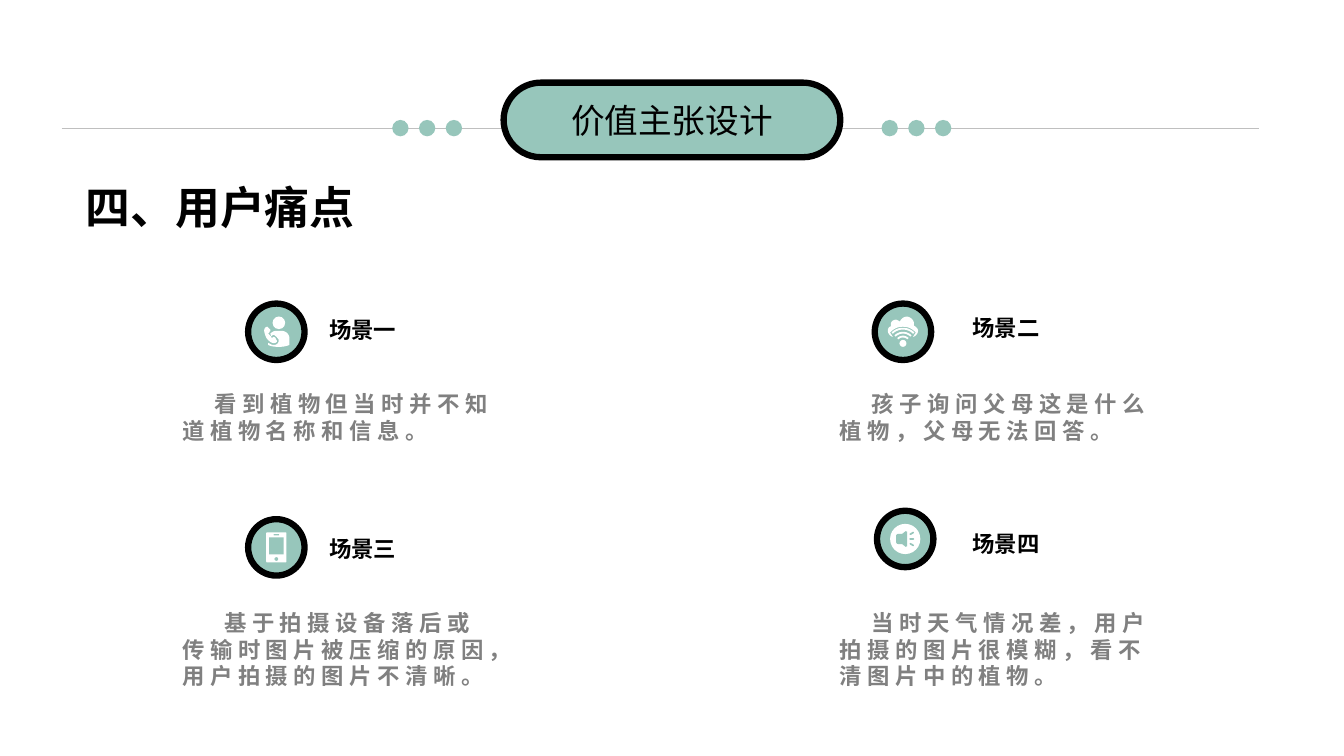
from math import cos, pi, sin

from lxml.etree import SubElement
from pptx import Presentation
from pptx.dml.color import RGBColor
from pptx.enum.shapes import MSO_CONNECTOR, MSO_SHAPE
from pptx.enum.text import MSO_ANCHOR, MSO_AUTO_SIZE, PP_ALIGN
from pptx.oxml.ns import qn
from pptx.util import Pt

# Content
BANNER = "价值主张设计"
HEADING = "四、用户痛点"
# label, label position, ring centre, icon, body, body position, first-line indent
SCENES = [
    ("场景一", (228.2, 222.5), (197.4, 237), "caller",
     "看到植物但当时并不知道植物名称和信息。", (123.1, 275), 23),
    ("场景二", (687.6, 221), (645, 237), "cloud",
     "孩子询问父母这是什么植物，父母无法回答。", (592.6, 275), 23),
    ("场景三", (228.2, 378.7), (197.4, 391), "phone",
     "基于拍摄设备落后或传输时图片被压缩的原因，用户拍摄的图片不清晰。", (123.1, 431.3), 30),
    ("场景四", (687.6, 375.1), (646.6, 385), "speaker",
     "当时天气情况差，用户拍摄的图片很模糊，看不清图片中的植物。", (592.6, 431.3), 23),
]
COLORS = {"mint": "97C6BB", "black": "000000", "white": "FFFFFF",
          "gray": "808080", "rule": "BFBFBF"}
RING_SIZE = 40.3


def wifi_band(radius, thickness=1.3, base=8.6, steps=12):
    angles = [pi / 4 * (2 * i / steps - 1) for i in range(steps + 1)]
    outer = [(radius * sin(a), base - radius * cos(a)) for a in angles]
    inner = [((radius - thickness) * sin(a), base - (radius - thickness) * cos(a))
             for a in reversed(angles)]
    return outer + inner


# Outlines around the ring centre: two numbers for a line, six for a curve
CALLER_BODY = [
    (0, -0.7), (3.6, -0.7), (6.5, -0.7, 9.4, 1.4, 9.4, 5), (9.4, 9.4),
    (9.4, 9.4, 6.5, 10.8, 2.2, 10.8), (1.4, 10.8), (-3.6, 10.8, -5.8, 9.4, -5.8, 9.4),
    (-5.8, 7.9), (-4.3, 8.6, -3.6, 9.4, -2.2, 9.4), (-1.4, 9.4, 0, 9.4, 0.7, 8.6),
    (1.4, 7.9, 2.2, 6.5, 1.4, 5), (0, 3.6), (-0.7, 2.9, -1.4, 2.2, -2.2, 2.2),
    (-2.2, 2.2, -2.9, 2.2, -2.9, 2.9), (-3.6, 2.9), (-4.3, 1.4),
    (-2.9, 0, -1.4, -0.7, 0, -0.7)]
HANDSET = [
    (-6.5, -3.6), (-4.3, -1.4), (-4.3, -0.7, -4.3, 0, -5, 0), (-5, 0.7),
    (-5.8, 0.7, -5.8, 1.4, -5.8, 1.4), (-3.6, 3.6), (-3.6, 4.3, -3.6, 4.3, -2.9, 4.3),
    (-2.2, 3.6), (-2.2, 3.6, -1.4, 3.6, -0.7, 4.3), (0, 5.8),
    (0.7, 6.5, 0.7, 7.2, -0.7, 7.9), (-2.9, 8.6, -5, 7.2, -7.2, 4.3),
    (-8.6, 0.7, -9.4, -1.4, -7.9, -2.9), (-7.9, -2.9, -7.2, -3.6, -6.5, -3.6)]
CLOUD = [
    (2.9, -10.8), (5, -10.8, 7.9, -8.6, 7.9, -5.8), (7.9, -5.3, 7.9, -5, 7.9, -4.3),
    (9.4, -3.6, 10.8, -2.2, 10.8, -0.7), (10.8, 1.4, 8.6, 3.6, 7.2, 3.6), (9.2, 0.5),
    (6.5, -2.3, 3.6, -3.6, 0, -3.6), (-3.6, -3.6, -6.5, -2.3, -9.2, 0.5), (-7.2, 3.6),
    (-8.6, 3.6, -10.8, 1.4, -10.8, -0.7), (-10.8, -2.2, -10, -3.6, -8.6, -3.9),
    (-8.6, -4.3, -8.6, -5, -8.6, -5.8), (-8.6, -7.2, -7, -8.6, -5, -8.6),
    (-4.3, -8.6, -2.9, -7.9, -2.2, -7.2), (-1.4, -9.4, 0.7, -10.8, 2.9, -10.8)]
HORN = [
    (0.3, -5.6), (1.4, -5.2), (1.4, 5.2), (0.3, 5.6), (-2.2, 3.6), (-5, 3.6),
    (-5.8, 3.6, -6.5, 2.9, -6.5, 2.2), (-6.5, -2.2),
    (-6.5, -2.9, -5.8, -3.6, -5, -3.6), (-2.2, -3.6), (0.3, -5.6)]

# Icon parts: (colour, outline) or (colour, preset, x, y, width, height, rotation)
OVAL, ROUNDED, BOX = MSO_SHAPE.OVAL, MSO_SHAPE.ROUNDED_RECTANGLE, MSO_SHAPE.RECTANGLE
ICONS = {
    "caller": [("white", CALLER_BODY), ("white", HANDSET),
               ("white", OVAL, 1.8, -6.4, 9, 9, 0)],
    "cloud": [("white", CLOUD), ("white", OVAL, 0, 8.3, 5, 5, 0)]
             + [("white", wifi_band(radius)) for radius in (5.8, 8.6, 11.5)],
    "phone": [("white", ROUNDED, 0, 0, 14.4, 21.6, 0), ("mint", BOX, 0, -1.1, 10.4, 12.2, 0),
              ("mint", OVAL, 0, 8.3, 2.6, 2.6, 0), ("mint", ROUNDED, 0, -9, 4, 0.9, 0)],
    "speaker": [("white", OVAL, 0, 0, 21.6, 21.6, 0), ("mint", HORN)]
               + [("mint", ROUNDED, 4.7, 4 * side, 3.4, 1.2, 30 * side) for side in (-1, 0, 1)],
}

presentation = Presentation()
presentation.slide_width, presentation.slide_height = Pt(960), Pt(540)
slide = presentation.slides.add_slide(presentation.slide_layouts[5])
shapes = slide.shapes


def color(name):
    return RGBColor.from_string(COLORS[name])


def paint(shape, fill, line=None):
    shape.shadow.inherit = False
    shape.fill.solid()
    shape.fill.fore_color.rgb = color(fill)
    if line:
        shape.line.color.rgb = color(line)
        shape.line.width = Pt(4.5)
    else:
        shape.line.fill.background()


def add_centred(preset, x, y, width, height, fill, line=None):
    shape = shapes.add_shape(preset, Pt(x - width / 2), Pt(y - height / 2),
                             Pt(width), Pt(height))
    paint(shape, fill, line)
    return shape


def flatten(outline, steps=8):
    points = [outline[0]]
    for segment in outline[1:]:
        if len(segment) == 2:
            points.append(segment)
            continue
        x0, y0 = points[-1]
        x1, y1, x2, y2, x3, y3 = segment
        for i in range(1, steps + 1):
            t = i / steps
            a, b, c, d = (1 - t) ** 3, 3 * t * (1 - t) ** 2, 3 * t * t * (1 - t), t ** 3
            points.append((a * x0 + b * x1 + c * x2 + d * x3,
                           a * y0 + b * y1 + c * y2 + d * y3))
    return points


def add_outline(outline, x, y, fill):
    points = [(Pt(x + dx), Pt(y + dy)) for dx, dy in flatten(outline)]
    builder = shapes.build_freeform(*points[0])
    builder.add_line_segments(points[1:], close=True)
    paint(builder.convert_to_shape(), fill)


def write(shape, text, size, name="black", font="Calibri", bold=True):
    frame = shape.text_frame
    frame.word_wrap = True
    frame.auto_size = MSO_AUTO_SIZE.NONE
    frame.text = text
    run = frame.paragraphs[0].runs[0]
    run.font.size, run.font.bold, run.font.name = Pt(size), bold, font
    run.font.color.rgb = color(name)
    return frame.paragraphs[0], run


# Banner: rule, pill and dots
rule = shapes.add_connector(MSO_CONNECTOR.STRAIGHT, Pt(44), Pt(91.7), Pt(899.3), Pt(91.7))
rule.line.color.rgb = color("rule")
rule.line.width = Pt(0.25)
SubElement(rule._element.spPr, qn("a:effectLst"))

pill = add_centred(ROUNDED, 480, 85.7, 240.5, 53.3, "mint", "black")
pill.adjustments[0] = 0.5
paragraph, run = write(pill, BANNER, 24, font="Noto Sans CJK JP", bold=False)
paragraph.alignment = PP_ALIGN.CENTER
pill.text_frame.vertical_anchor = MSO_ANCHOR.MIDDLE
SubElement(run._r.get_or_add_rPr(), qn("a:ea")).set("typeface", "Noto Sans CJK JP")

for first_dot in (286, 635.5):
    for i in range(3):
        add_centred(OVAL, first_dot + 19.1 * i, 91.5, 11.7, 11.7, "mint")

# Heading
title = shapes.title
title.left, title.top, title.width, title.height = Pt(54), Pt(124.6), Pt(250), Pt(124)
paragraph, run = write(title, HEADING, 32)
paragraph.alignment = PP_ALIGN.LEFT
title.text_frame.vertical_anchor = MSO_ANCHOR.TOP

# Scenes: ring, icon, label and body
for label, label_at, (x, y), icon, body, body_at, indent in SCENES:
    add_centred(OVAL, x, y, RING_SIZE, RING_SIZE, "mint", "black")
    for fill, *part in ICONS[icon]:
        if len(part) == 1:
            add_outline(part[0], x, y, fill)
            continue
        preset, dx, dy, width, height, rotation = part
        shape = add_centred(preset, x + dx, y + dy, width, height, fill)
        shape.rotation = rotation
        if preset == ROUNDED:
            shape.adjustments[0] = 0.05 if height > width else 0.5
    label_box = shapes.add_textbox(Pt(label_at[0]), Pt(label_at[1]), Pt(88.6), Pt(26.6))
    write(label_box, label, 16)
    body_box = shapes.add_textbox(Pt(body_at[0]), Pt(body_at[1]), Pt(240.5), Pt(65.5))
    paragraph, run = write(body_box, body, 16, "gray")
    paragraph._p.get_or_add_pPr().set("indent", str(Pt(indent)))
    run._r.get_or_add_rPr().set("spc", "400")

presentation.save("out.pptx")
